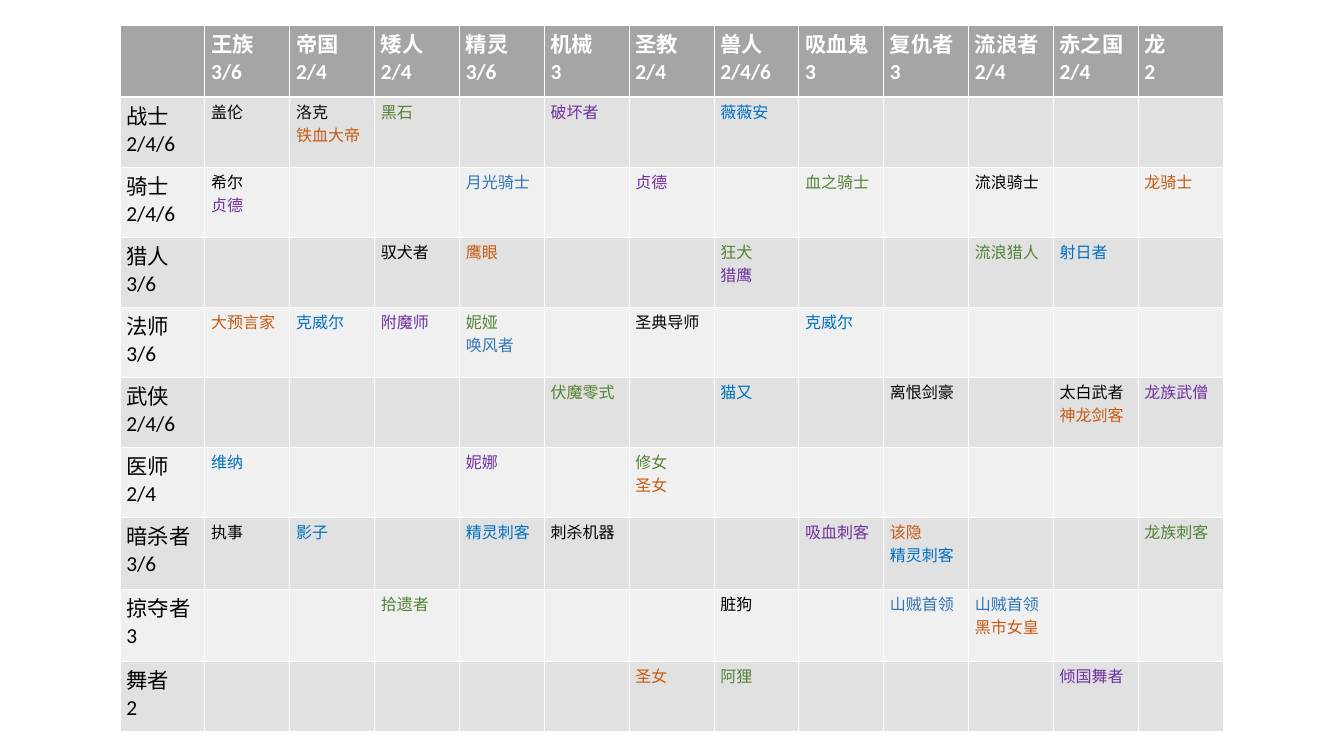
"""Builds a slide with a table of heroes by class and faction."""
from lxml import etree
from pptx import Presentation
from pptx import util as u
from pptx.dml.color import RGBColor
from pptx.oxml.ns import qn

PX = 914400 // 64
FONT = "Calibri"
WHITE = RGBColor(0xFF, 0xFF, 0xFF)
BLACK = RGBColor(0x00, 0x00, 0x00)
HEADER = RGBColor(0xA5, 0xA5, 0xA5)
BANDS = (RGBColor(0xE1, 0xE1, 0xE1), RGBColor(0xF0, 0xF0, 0xF0))
GRADES = {
    "k": BLACK,
    "i": RGBColor(0x0D, 0x0D, 0x0D),
    "g": RGBColor(0x54, 0x82, 0x35),
    "b": RGBColor(0x00, 0x70, 0xC0),
    "s": RGBColor(0x2E, 0x75, 0xB6),
    "p": RGBColor(0x70, 0x30, 0xA0),
    "o": RGBColor(0xC5, 0x5A, 0x11),
}

LEFT, TOP, WIDTH = 120, 25, 1103
ROW_HEIGHTS = [72, 70, 70, 70, 70, 70, 70, 72, 72, 70]

FACTIONS = [
    ("王族", "3/6"), ("帝国", "2/4"), ("矮人", "2/4"), ("精灵", "3/6"),
    ("机械", "3"), ("圣教", "2/4"), ("兽人", "2/4/6"), ("吸血鬼", "3"),
    ("复仇者", "3"), ("流浪者", "2/4"), ("赤之国", "2/4"), ("龙", "2"),
]
CLASSES = [
    ("战士", "2/4/6", "盖伦k|洛克i,铁血大帝o|黑石g||破坏者p||薇薇安b"),
    ("骑士", "2/4/6", "希尔k,贞德p|||月光骑士s||贞德p||血之骑士g||流浪骑士k||龙骑士o"),
    ("猎人", "3/6", "||驭犬者k|鹰眼o|||狂犬g,猎鹰p|||流浪猎人g|射日者b"),
    ("法师", "3/6", "大预言家o|克威尔b|附魔师p|妮娅g,唤风者s||圣典导师k||克威尔b"),
    ("武侠", "2/4/6", "||||伏魔零式g||猫又b||离恨剑豪k||太白武者k,神龙剑客o|龙族武僧p"),
    ("医师", "2/4", "维纳b|||妮娜p||修女g,圣女o"),
    ("暗杀者", "3/6", "执事k|影子b||精灵刺客b|刺杀机器k|||吸血刺客p|该隐o,精灵刺客b|||龙族刺客g"),
    ("掠夺者", "3", "||拾遗者g||||脏狗k||山贼首领s|山贼首领s,黑市女皇o"),
    ("舞者", "2", "|||||圣女o|阿狸g||||倾国舞者p"),
]


def add_text(p, content, size=24, color=BLACK, bold=False):
    """Add one formatted run to a paragraph."""
    r = p.add_run()
    r.text = content
    r.font.name = FONT
    r.font.size = u.Pt(size)
    r.font.bold = bold
    r.font.color.rgb = color


def add_lines(cell, lines, **style):
    """Write (text, color) pairs as the paragraphs of a cell."""
    tf = cell.text_frame
    for i, (content, color) in enumerate(lines):
        p = tf.add_paragraph() if i else tf.paragraphs[0]
        add_text(p, content, color=color, **style)


def style_cell(cell, fill, top=1, bottom=1):
    """Give a cell white borders and a solid fill."""
    tc_pr = cell._tc.get_or_add_tcPr()
    for side, width in (("L", 1), ("R", 1), ("T", top), ("B", bottom)):
        ln = etree.SubElement(tc_pr, qn(f"a:ln{side}"), w=str(u.Pt(width)))
        solid = etree.SubElement(ln, qn("a:solidFill"))
        etree.SubElement(solid, qn("a:srgbClr"), val=str(WHITE))
    cell.fill.solid()
    cell.fill.fore_color.rgb = fill


def add_grid(s):
    """Add the empty styled table."""
    columns = len(FACTIONS) + 1
    frame = s.shapes.add_table(len(ROW_HEIGHTS), columns, LEFT * PX, TOP * PX,
                               WIDTH * PX, sum(ROW_HEIGHTS) * PX)
    table = frame.table
    for column in table.columns:
        column.width = WIDTH * PX // columns
    for i, height in enumerate(ROW_HEIGHTS):
        table.rows[i].height = height * PX
        fill = BANDS[(i - 1) % 2] if i else HEADER
        for cell in table.rows[i].cells:
            style_cell(cell, fill, top=3 if i == 1 else 1, bottom=1 if i else 3)
    return table


def fill_header(table):
    """Write the faction names and their bonus steps."""
    for col, faction in enumerate(FACTIONS, 1):
        add_lines(table.cell(0, col), [(line, WHITE) for line in faction], bold=True)


def fill_classes(table):
    """Write each class with its heroes, coloured by grade."""
    for row, (name, steps, heroes) in enumerate(CLASSES, 1):
        add_lines(table.cell(row, 0), [(name, BLACK), (steps, BLACK)])
        for col, group in enumerate(heroes.split("|"), 1):
            if group:
                lines = [(hero[:-1], GRADES[hero[-1]]) for hero in group.split(",")]
                add_lines(table.cell(row, col), lines, size=18)


def main():
    """Build and save the slide."""
    prs = Presentation()
    prs.slide_width, prs.slide_height = 1344 * PX, 756 * PX
    s = prs.slides.add_slide(prs.slide_layouts[6])
    table = add_grid(s)
    fill_header(table)
    fill_classes(table)
    prs.save("out.pptx")


main()
